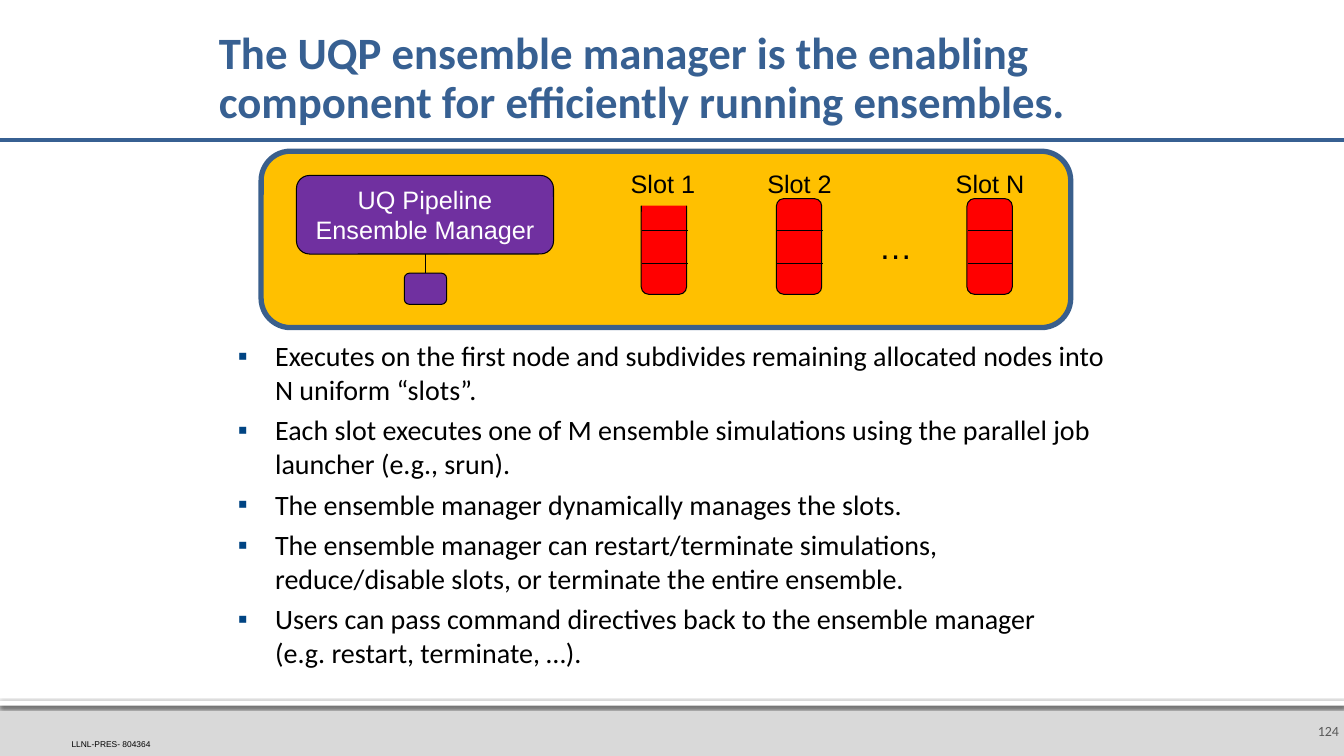
from lxml import etree
from pptx import Presentation
from pptx.dml.color import RGBColor
from pptx.enum.shapes import MSO_CONNECTOR, MSO_SHAPE
from pptx.enum.text import MSO_ANCHOR, PP_ALIGN
from pptx.oxml.ns import qn
from pptx.util import Inches, Pt

# Content
TITLE = "The UQP ensemble manager is the enabling component for efficiently running ensembles."
POINTS = [
    "Executes on the first node and subdivides remaining allocated nodes into N uniform “slots”.",
    "Each slot executes one of M ensemble simulations using the parallel job launcher (e.g., srun).",
    "The ensemble manager dynamically manages the slots.",
    "The ensemble manager can restart/terminate simulations, "
    "reduce/disable slots, or terminate the entire ensemble.",
    "Users can pass command directives back to the ensemble manager\n(e.g. restart, terminate, …).",
]
MANAGER = "UQ Pipeline Ensemble Manager"
LABELS = [("Slot 1", 5.98, 1.19), ("Slot 2", 7.31, 1.24), ("Slot N", 9.15, 1.34)]
SLOTS = [6.36, 7.7, 9.59]
PAGE, CODE = "124", "LLNL-PRES- 804364"

# Colours and constants
BLUE = RGBColor(0x37, 0x60, 0x92)
EDGE = RGBColor(0x3A, 0x5F, 0x8C)
GOLD = RGBColor(0xFF, 0xC0, 0x00)
RED = RGBColor(0xFF, 0x00, 0x00)
PURPLE = RGBColor(0x70, 0x30, 0xA0)
GRAY = RGBColor(0xD9, 0xD9, 0xD9)
DARK = RGBColor(0x59, 0x59, 0x59)
BLACK = RGBColor(0, 0, 0)
WHITE = RGBColor(0xFF, 0xFF, 0xFF)
RECT, ROUND = MSO_SHAPE.RECTANGLE, MSO_SHAPE.ROUNDED_RECTANGLE
STRAIGHT = MSO_CONNECTOR.STRAIGHT
LEFT, CENTER, RIGHT = PP_ALIGN.LEFT, PP_ALIGN.CENTER, PP_ALIGN.RIGHT
TOP, MIDDLE, BOTTOM = MSO_ANCHOR.TOP, MSO_ANCHOR.MIDDLE, MSO_ANCHOR.BOTTOM
INSETS = (0.1, 0.05, 0.1, 0.05)

# Text formats
HEAD = {"name": "Calibri", "size": Pt(32), "bold": True, "color": BLUE}
BODY = {"name": "Calibri", "size": Pt(20), "color": BLACK}
NAME = {"name": "Arial", "size": Pt(18), "color": BLACK}
LIGHT = {**NAME, "color": WHITE}
DOTS = {**NAME, "size": Pt(24)}
FOOT = {"name": "Arial", "size": Pt(6), "color": BLACK}
NUMBER = {"name": "Calibri", "size": Pt(10), "color": DARK}

prs = Presentation()
prs.slide_width, prs.slide_height = Inches(13.33), Inches(7.5)
slide = prs.slides.add_slide(prs.slide_layouts[6])
shapes = slide.shapes


def style(font, form):
    for key, value in form.items():
        if key == "color":
            font.color.rgb = value
        else:
            setattr(font, key, value)


def write(shape, text, form, align=LEFT, anchor=MIDDLE, insets=INSETS):
    frame = shape.text_frame
    frame.word_wrap = True
    frame.vertical_anchor = anchor
    for side, gap in zip(("left", "top", "right", "bottom"), insets):
        setattr(frame, "margin_" + side, Inches(gap))
    para = frame.paragraphs[0]
    para.text, para.alignment = text, align
    style(para.font, form)
    return para


def box(kind, place, fill, edge=None, width=0.75):
    shape = shapes.add_shape(kind, *map(Inches, place))
    shape.shadow.inherit = False
    shape.fill.solid()
    shape.fill.fore_color.rgb = fill
    if edge is None:
        shape.line.fill.background()
    else:
        shape.line.color.rgb = edge
        shape.line.width = Pt(width)
    return shape


def text(place, words, form, **rest):
    return write(shapes.add_textbox(*map(Inches, place)), words, form, **rest)


def line(x1, y1, x2, y2, color=BLACK, width=0.75):
    rule = shapes.add_connector(STRAIGHT, *map(Inches, (x1, y1, x2, y2)))
    rule.line.color.rgb = color
    rule.line.width = Pt(width)
    etree.SubElement(rule._element.spPr, qn("a:effectLst"))


def shade(shape):
    effects = shape._element.spPr.find(qn("a:effectLst"))
    outer = etree.SubElement(effects, qn("a:outerShdw"), blurRad=str(Pt(2.5)),
                             dist=str(Pt(0.8)), dir="5400000", rotWithShape="0")
    color = etree.SubElement(outer, qn("a:srgbClr"), val="000000")
    etree.SubElement(color, qn("a:alpha"), val="60000")


def bullet(para):
    props = para._p.get_or_add_pPr()
    props.set("marL", str(Inches(0.37)))
    props.set("indent", str(-Inches(0.37)))
    color = etree.SubElement(props, qn("a:buClr"))
    etree.SubElement(color, qn("a:srgbClr"), val="004483")
    etree.SubElement(props, qn("a:buFont"), typeface="Arial")
    etree.SubElement(props, qn("a:buChar"), char="▪")


def slot(x):
    box(ROUND, (x, 1.97, 0.45, 0.95), RED, BLACK)
    for y in (2.29, 2.61):
        line(x + 0.01, y, x + 0.46, y)


# Footer and title rule
box(RECT, (0, 6.95, 13.33, 0.55), GRAY)
shade(box(RECT, (0, 6.95, 13.33, 0.05), WHITE))
text((12.87, 7, 0.46, 0.5), PAGE, NUMBER, align=RIGHT, insets=(0.1, 0.05, 0.05, 0.05))
text((0.71, 7.33, 1.27, 0.1), CODE, FOOT, anchor=BOTTOM, insets=(0, 0, 0, 0))
line(0, 1.39, 13.33, 1.39, BLUE, 3)

# Bulleted points
body = shapes.add_textbox(*map(Inches, (2.26, 3.31, 8.81, 3.38)))
write(body, "", BODY, anchor=TOP)
for i, point in enumerate(POINTS):
    frame = body.text_frame
    para = frame.add_paragraph() if i else frame.paragraphs[0]
    para.text = point
    para.space_after = Pt(5)
    if not i:
        para._p.get_or_add_pPr().remove(para._p.pPr.find(qn("a:defRPr")))
    bullet(para)
    style(para.font, BODY)

# Diagram panel; the first slot sits behind its label
box(ROUND, (2.59, 1.5, 8.03, 1.75), GOLD, EDGE, 3.78)
write(box(ROUND, (8.59, 2.16, 0.58, 0.56), GOLD), "…", DOTS, align=CENTER)
line(4.22, 2.52, 4.28, 2.42, width=0.5)
slot(SLOTS[0])
for label, x, width in LABELS:
    write(box(ROUND, (x, 1.59, width, 0.45), GOLD), label, NAME, align=CENTER)

# Ensemble manager and its node
write(box(ROUND, (2.94, 1.74, 2.55, 0.78), PURPLE, BLACK), MANAGER, LIGHT, align=CENTER)
box(ROUND, (4.01, 2.71, 0.42, 0.31), PURPLE, BLACK)
line(4.22, 2.52, 4.22, 2.71)
for x in SLOTS[1:]:
    slot(x)

# Title
head = text((2.17, 0.24, 9.33, 1.1), TITLE, HEAD, insets=(0, 0.05, 0.05, 0.05))
head.line_spacing = 0.9

prs.save("out.pptx")
